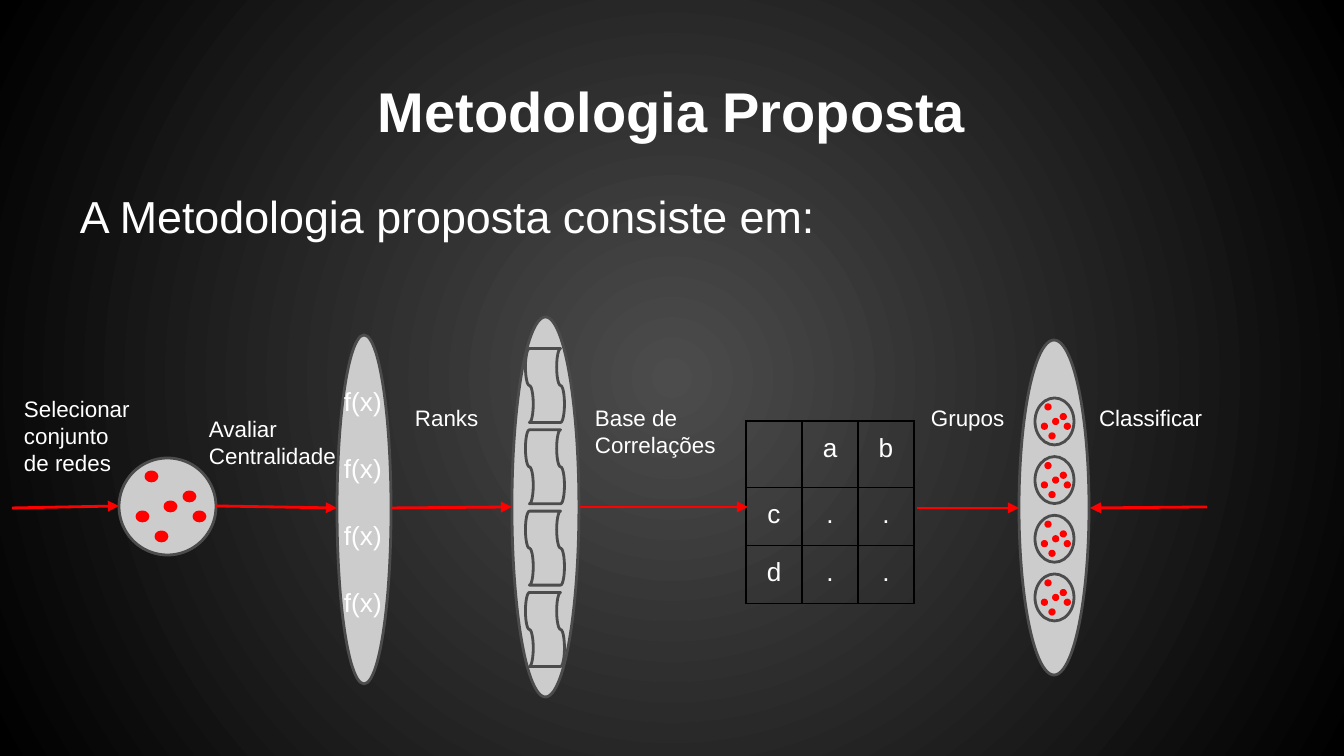
from lxml import etree
from pptx import Presentation
from pptx.dml.color import RGBColor
from pptx.enum.shapes import MSO_CONNECTOR, MSO_SHAPE
from pptx.enum.text import MSO_ANCHOR, PP_ALIGN
from pptx.oxml.ns import qn
from pptx.util import Emu, Pt

STRAIGHT = MSO_CONNECTOR.STRAIGHT
ELLIPSE, TAPE = MSO_SHAPE.OVAL, MSO_SHAPE.FLOWCHART_PUNCHED_TAPE
LEFT, CENTER = PP_ALIGN.LEFT, PP_ALIGN.CENTER
TOP, BOTTOM = MSO_ANCHOR.TOP, MSO_ANCHOR.BOTTOM
COLORS = {"glow": "4C4C4C", "dark": "000000", "text": "FFFFFF",
          "body": "CCCCCC", "outline": "4C4C4C", "accent": "FF0000"}
FONT = "Arial"
PX = 914400 / 134.4
INSET = 13

# Content; boxes are left, top, width, height in px
TITLE = ("Metodologia Proposta", (67, 31, 1210, 126))
INTRO = ("A Metodologia proposta consiste em:", (67, 176, 1210, 547))
LABELS = [
    ("Selecionar conjunto de redes", (11, 382, 140, 109)),
    ("Avaliar Centralidade", (196, 402, 180, 67)),
    ("Ranks", (402, 391, 97, 67)),
    ("Base de Correlações", (582, 391, 156, 67)),
    ("Grupos", (918, 391, 102, 67)),
    ("Classificar", (1086, 391, 132, 67)),
]
ARROWS = [  # from x, y to x, y
    (12, 508, 119, 506), (216, 506, 337, 508), (391, 508, 512, 507),
    (579, 507, 748, 507), (917, 508, 1019, 508), (1207, 507, 1090, 508),
]
CORRELATIONS = [["", "a", "b"], ["c", ".", "."], ["d", ".", "."]]
TABLE_AT, COLUMN, ROWS = (746, 421), 56, (64, 58, 58)

# Stages of the flow
NETWORK_SIZE = 97
NETWORK = (119, 458, NETWORK_SIZE, NETWORK_SIZE)
NODE = (11, 9)
NODE_OFFSETS = [(-25, 10), (-6, 30), (3, 0), (22, -10), (-16, -30), (32, 10)]
STAGES = {"functions": (337, 335, 54, 349), "ranks": (512, 317, 67, 380),
          "groups": (1019, 340, 70, 335)}
STACK = 4
FUNCTION, FUNCTION_BOX, FUNCTION_LAST = "f(x)", (331, 372, 67, 67), 573
TAPE_BOX, TAPE_LAST = (508, 366, 74, 39), 610
GROUP_BOX, GROUP_LAST = (1035, 398, 39, 47), 574


def px(value):
    return Emu(round(value * PX))


def rgb(name):
    return RGBColor.from_string(COLORS[name])


def write(frame, text, size, align=LEFT, anchor=TOP, bold=False):
    settings = {"word_wrap": True, "vertical_anchor": anchor}
    settings.update({f"margin_{side}": px(INSET)
                     for side in ("left", "top", "right", "bottom")})
    for key, value in settings.items():
        setattr(frame, key, value)
    paragraph = frame.paragraphs[0]
    paragraph.alignment = align
    run = paragraph.add_run()
    run.text = text
    for key, value in {"name": FONT, "size": Pt(size), "bold": bold}.items():
        setattr(run.font, key, value)
    run.font.color.rgb = rgb("text")


def add_text(shapes, text, box, size):
    write(shapes.add_textbox(*map(px, box)).text_frame, text, size)


def add_outline(shapes, kind, box, fill="body", line="outline"):
    shape = shapes.add_shape(kind, *map(px, box))
    shape.shadow.inherit = False
    shape.fill.solid()
    shape.fill.fore_color.rgb = rgb(fill)
    shape.line.color.rgb = rgb(line)
    shape.line.width = Pt(1.5)
    return shape


def add_network(shapes, box):
    """A circle with its nodes, scaled to the box."""
    left, top, width, height = box
    add_outline(shapes, ELLIPSE, box)
    sx, sy = width / NETWORK_SIZE, height / NETWORK_SIZE
    w, h = NODE[0] * sx, NODE[1] * sy
    for dx, dy in NODE_OFFSETS:
        x, y = left + width / 2 + dx * sx, top + height / 2 + dy * sy
        add_outline(shapes, ELLIPSE, (x - w / 2, y - h / 2, w, h), "accent", "accent")


def stack(box, last_top):
    """Boxes at an equal pitch from the first top to the last."""
    left, top, width, height = box
    pitch = (last_top - top) / (STACK - 1)
    return [(left, top + i * pitch, width, height) for i in range(STACK)]


def add_stage(slide, name):
    shapes = slide.shapes.add_group_shape().shapes
    add_outline(shapes, ELLIPSE, STAGES[name])
    return shapes


def add_arrow(slide, ends):
    arrow = slide.shapes.add_connector(STRAIGHT, *map(px, ends))
    arrow.line.color.rgb = rgb("accent")
    arrow.line.width = Pt(1.5)
    properties = arrow.element.spPr
    etree.SubElement(properties.find(qn("a:ln")), qn("a:tailEnd"), type="triangle")
    etree.SubElement(properties, qn("a:effectLst"))


def add_borders(cell):
    properties = cell._tc.get_or_add_tcPr()
    for i, side in enumerate(("lnL", "lnR", "lnT", "lnB")):
        border = etree.Element(qn(f"a:{side}"), w=str(Pt(0.75)))
        fill = etree.SubElement(border, qn("a:solidFill"))
        etree.SubElement(fill, qn("a:srgbClr"), val=COLORS["dark"])
        properties.insert(i, border)


def add_correlations(slide):
    count = len(CORRELATIONS[0])
    table = slide.shapes.add_table(
        len(ROWS), count, *map(px, (*TABLE_AT, COLUMN * count, sum(ROWS)))).table
    table.first_row = table.horz_banding = False
    for column in table.columns:
        column.width = px(COLUMN)
    for row, height, texts in zip(table.rows, ROWS, CORRELATIONS):
        row.height = px(height)
        for cell, text in zip(row.cells, texts):
            write(cell.text_frame, text, 14, CENTER)
            for side in ("left", "top", "right", "bottom"):
                setattr(cell, f"margin_{side}", px(INSET))
            cell.fill.background()
            add_borders(cell)


def set_background(slide):
    fill = slide.background.fill
    fill.gradient()
    for stop, name in zip(fill.gradient_stops, ("glow", "dark")):
        stop.color.rgb = rgb(name)
    gradient = next(slide.element.iter(qn("a:gradFill")))
    linear = gradient.find(qn("a:lin"))
    radial = etree.Element(qn("a:path"), {"path": "circle"})
    etree.SubElement(radial, qn("a:fillToRect"),
                     {side: "50000" for side in "ltrb"})
    gradient.replace(linear, radial)


def main():
    deck = Presentation()
    deck.slide_width, deck.slide_height = px(1344), px(756)
    slide = deck.slides.add_slide(deck.slide_layouts[5])
    set_background(slide)

    # Title
    text, box = TITLE
    title = slide.shapes.title
    for key, value in zip(("left", "top", "width", "height"), box):
        setattr(title, key, px(value))
    write(title.text_frame, text, 30, CENTER, BOTTOM, True)

    # Stages
    add_network(slide.shapes.add_group_shape().shapes, NETWORK)
    functions = add_stage(slide, "functions")
    for box in stack(FUNCTION_BOX, FUNCTION_LAST):
        add_text(functions, FUNCTION, box, 14)
    ranks = add_stage(slide, "ranks")
    for box in stack(TAPE_BOX, TAPE_LAST):
        add_outline(ranks, TAPE, box).rotation = 270
    add_correlations(slide)
    groups = add_stage(slide, "groups")
    for box in stack(GROUP_BOX, GROUP_LAST):
        add_network(groups, box)

    # Arrows and texts
    for ends in ARROWS:
        add_arrow(slide, ends)
    for text, box in LABELS:
        add_text(slide.shapes, text, box, 12)
    add_text(slide.shapes, *INTRO, 24)
    deck.save("out.pptx")


if __name__ == "__main__":
    main()
